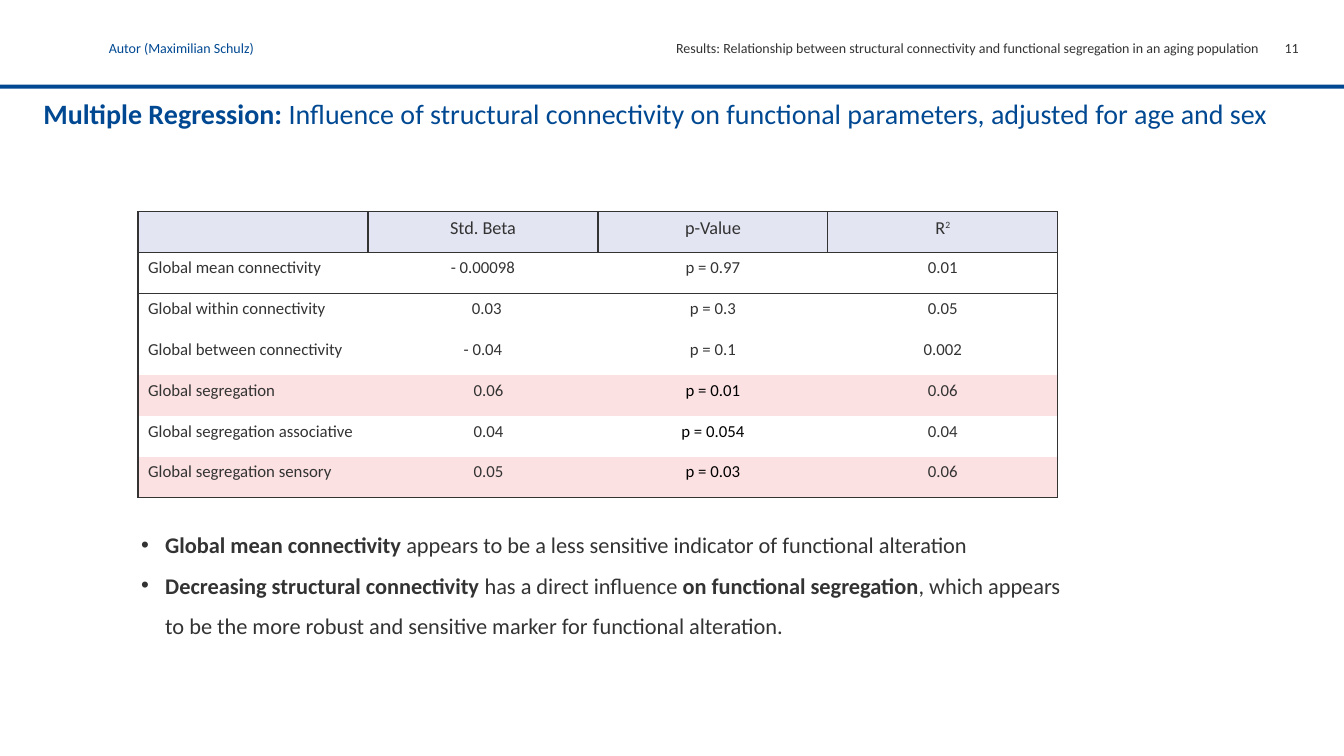
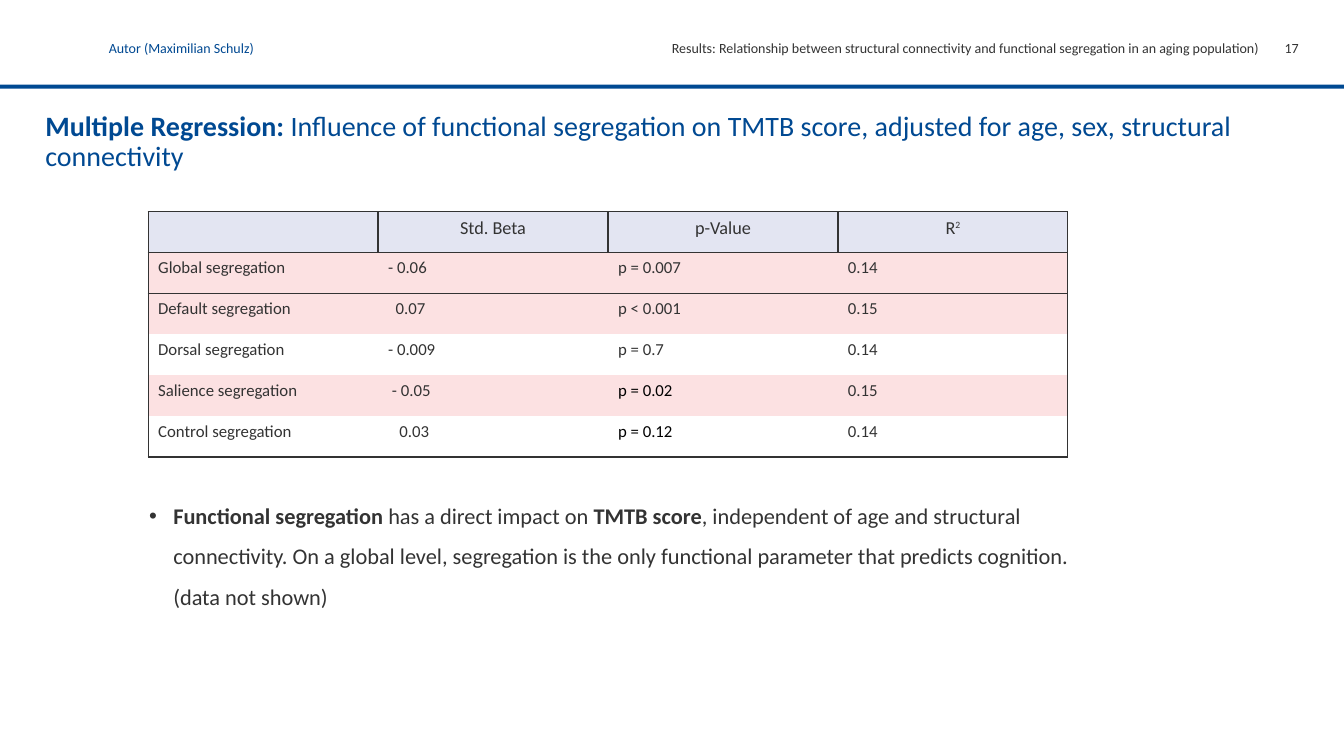
from pptx import Presentation
from pptx.dml.color import RGBColor
from pptx.enum.shapes import MSO_SHAPE
from pptx.enum.text import MSO_ANCHOR, MSO_AUTO_SIZE, PP_ALIGN
from pptx.oxml import parse_xml
from pptx.oxml.ns import nsdecls, qn
from pptx.util import Pt

BLUE = RGBColor(0x00, 0x49, 0x92)
DARK = RGBColor(0x33, 0x33, 0x33)
BLACK = RGBColor(0x00, 0x00, 0x00)
HEAD_FILL = RGBColor(0xE3, 0xE5, 0xF2)
MARK_FILL = RGBColor(0xFC, 0xE1, 0xE2)
FONT = "Calibri"
LEFT, CENTER, RIGHT = PP_ALIGN.LEFT, PP_ALIGN.CENTER, PP_ALIGN.RIGHT
TOP, NO_FIT = MSO_ANCHOR.TOP, MSO_AUTO_SIZE.NONE
RECT = MSO_SHAPE.RECTANGLE
NO_STYLE = "{2D5ABB26-0587-4C30-8999-92F81FD0307C}"

SLIDE_W, SLIDE_H = 960.48, 540
TABLE_TOP, COL_W, ROW_H = 151.2, 164.34, 29.2
CELL_MARGIN = 7.2
INDENT = Pt(17.28)
AUTHOR = "Autor (Maximilian Schulz)"
HEADINGS = ["", "Std. Beta", "p-Value", "R"]

# Titles and bullets alternate bold and regular runs.
# Rows: label, beta, extra left margin of beta, p-value, R², highlighted
SLIDES = [
    {
        "number": "11",
        "topic": "Results: Relationship between structural connectivity and "
                 "functional segregation in an aging population",
        "title": ["Multiple Regression: ",
                  "Influence of structural connectivity on functional "
                  "parameters, adjusted for age and sex"],
        "title_at": (30.96, 71.28, 895.68, 22.32),
        "table_left": 98.64,
        "align": CENTER,
        "rows": [
            ("Global mean connectivity", "- 0.00098", 0, "p = 0.97", "0.01", False),
            ("Global within connectivity", "0.03", 5.4, "p = 0.3", "0.05", False),
            ("Global between connectivity", "- 0.04", 0, "p = 0.1", "0.002", False),
            ("Global segregation", "0.06", 8.1, "p = 0.01", "0.06", True),
            ("Global segregation associative", "0.04", 8.1, "p = 0.054", "0.04", False),
            ("Global segregation sensory", "0.05", 8.1, "p = 0.03", "0.06", True),
        ],
        "bullets": [
            ["Global mean connectivity ",
             "appears to be a less sensitive indicator of functional alteration"],
            ["Decreasing structural connectivity ", "has a direct influence ",
             "on functional segregation",
             ", which appears to be the more robust and sensitive marker for "
             "functional alteration."],
        ],
        "bullets_at": (100.8, 370.08, 657.36, 120.96),
    },
    {
        "number": "17",
        "topic": "Results: Relationship between structural connectivity and "
                 "functional segregation in an aging population)",
        "title": ["Multiple Regression: ",
                  "Influence of functional segregation on TMTB score, adjusted "
                  "for age, sex, structural connectivity"],
        "title_at": (32.4, 79.92, 895.68, 22.32),
        "table_left": 105.84,
        "align": LEFT,
        "rows": [
            ("Global segregation", "- 0.06", 0, "p = 0.007", "0.14", True),
            ("Default segregation", "0.07", 5.4, "p < 0.001", "0.15", True),
            ("Dorsal segregation", "- 0.009", 0, "p = 0.7", "0.14", False),
            ("Salience segregation", "- 0.05", 2.7, "p = 0.02", "0.15", True),
            ("Control segregation", "0.03", 8.1, "p = 0.12", "0.14", False),
        ],
        "bullets": [
            ["Functional segregation ", "has a direct impact on ", "TMTB score",
             ", independent of age and structural connectivity. On a global "
             "level, segregation is the only functional parameter that predicts "
             "cognition.(data not shown)"],
        ],
        "bullets_at": (106.56, 349.2, 660.96, 96.48),
    },
]


def add_run(p, text, size, color, bold=False):
    r = p.add_run()
    r.text = text
    r.font.color.rgb = color
    for name, value in {"name": FONT, "size": Pt(size), "bold": bold}.items():
        setattr(r.font, name, value)
    return r


def place(sp, box, margin_top=0):
    """Position a text shape and give its frame the shared settings."""
    sp.left, sp.top, sp.width, sp.height = (Pt(v) for v in box)
    frame = {"margin_left": 0, "margin_right": 0, "margin_bottom": 0,
             "margin_top": Pt(margin_top), "word_wrap": True,
             "auto_size": NO_FIT, "vertical_anchor": TOP}
    for name, value in frame.items():
        setattr(sp.text_frame, name, value)
    return sp.text_frame


prs = Presentation()
prs.slide_width, prs.slide_height = Pt(SLIDE_W), Pt(SLIDE_H)

for data in SLIDES:
    s = prs.slides.add_slide(prs.slide_layouts[1])

    band = s.shapes.add_shape(RECT, 0, Pt(60.48), Pt(SLIDE_W), Pt(2.88))
    band.shadow.inherit = False
    band.fill.solid()
    band.fill.fore_color.rgb = BLUE
    band.line.fill.background()

    for text, left, width, align, color in [
        (AUTHOR, 77.76, 238.32, LEFT, BLUE),
        (data["topic"], 468.72, 430.56, RIGHT, DARK),
        (data["number"], 900, 28.08, RIGHT, DARK),
    ]:
        sp = s.shapes.add_textbox(0, 0, 0, 0)
        p = place(sp, (left, 25.92, width, 17.28), 2.16).paragraphs[0]
        p.alignment = align
        add_run(p, text, 10, color)

    p = place(s.shapes.title, data["title_at"]).paragraphs[0]
    p.alignment, p.line_spacing = LEFT, 0.9
    for i, text in enumerate(data["title"]):
        add_run(p, text, 20, BLUE, bold=i % 2 == 0)

    tf = place(s.placeholders[1], data["bullets_at"])
    for n, bullet in enumerate(data["bullets"]):
        p = tf.add_paragraph() if n else tf.paragraphs[0]
        pPr = p._p.get_or_add_pPr()
        pPr.set("marL", str(int(INDENT)))
        pPr.set("indent", str(-int(INDENT)))
        p.line_spacing, p.space_before = 1.5, Pt(0)
        for i, text in enumerate(bullet):
            add_run(p, text, 16, DARK, bold=i % 2 == 0)

    rows = data["rows"]
    last_row, last_col = len(rows), len(HEADINGS) - 1
    table = s.shapes.add_table(
        last_row + 1, last_col + 1, Pt(data["table_left"]), Pt(TABLE_TOP),
        Pt(COL_W * (last_col + 1)), Pt(ROW_H * (last_row + 1))).table
    table.first_row = table.horz_banding = False
    table._tbl.tblPr.find(qn("a:tableStyleId")).text = NO_STYLE
    for col in table.columns:
        col.width = Pt(COL_W)

    for i, row in enumerate(table.rows):
        row.height = Pt(ROW_H)
        header = i == 0
        if header:
            texts, beta_pad, fill = HEADINGS, 0, HEAD_FILL
        else:
            label, beta, beta_pad, p_value, r2, marked = rows[i - 1]
            texts = [label, beta, p_value, r2]
            fill = MARK_FILL if marked else None
        for j, text in enumerate(texts):
            cell = table.cell(i, j)
            sides = {"lnL": header or j == 0, "lnR": header or j == last_col,
                     "lnT": i <= 1, "lnB": header or i == last_row}
            tcPr = cell._tc.get_or_add_tcPr()
            for side, drawn in sides.items():
                if drawn:
                    tcPr.append(parse_xml(
                        f'<a:{side} {nsdecls("a")} w="{int(Pt(1))}"><a:solidFill>'
                        f'<a:srgbClr val="{DARK}"/></a:solidFill></a:{side}>'))
            if fill:
                cell.fill.solid()
                cell.fill.fore_color.rgb = fill
            else:
                cell.fill.background()
            if j == 1:
                cell.margin_left = Pt(CELL_MARGIN + beta_pad)
            p = cell.text_frame.paragraphs[0]
            p.alignment = CENTER if header else LEFT if j == 0 else data["align"]
            if text:
                color = BLACK if j == 2 and i >= 4 else DARK
                add_run(p, text, 13 if header else 12, color)
            if text == "R":
                square = add_run(p, "2", 12, DARK)
                square.font._element.set("baseline", "30000")

prs.save("out.pptx")
